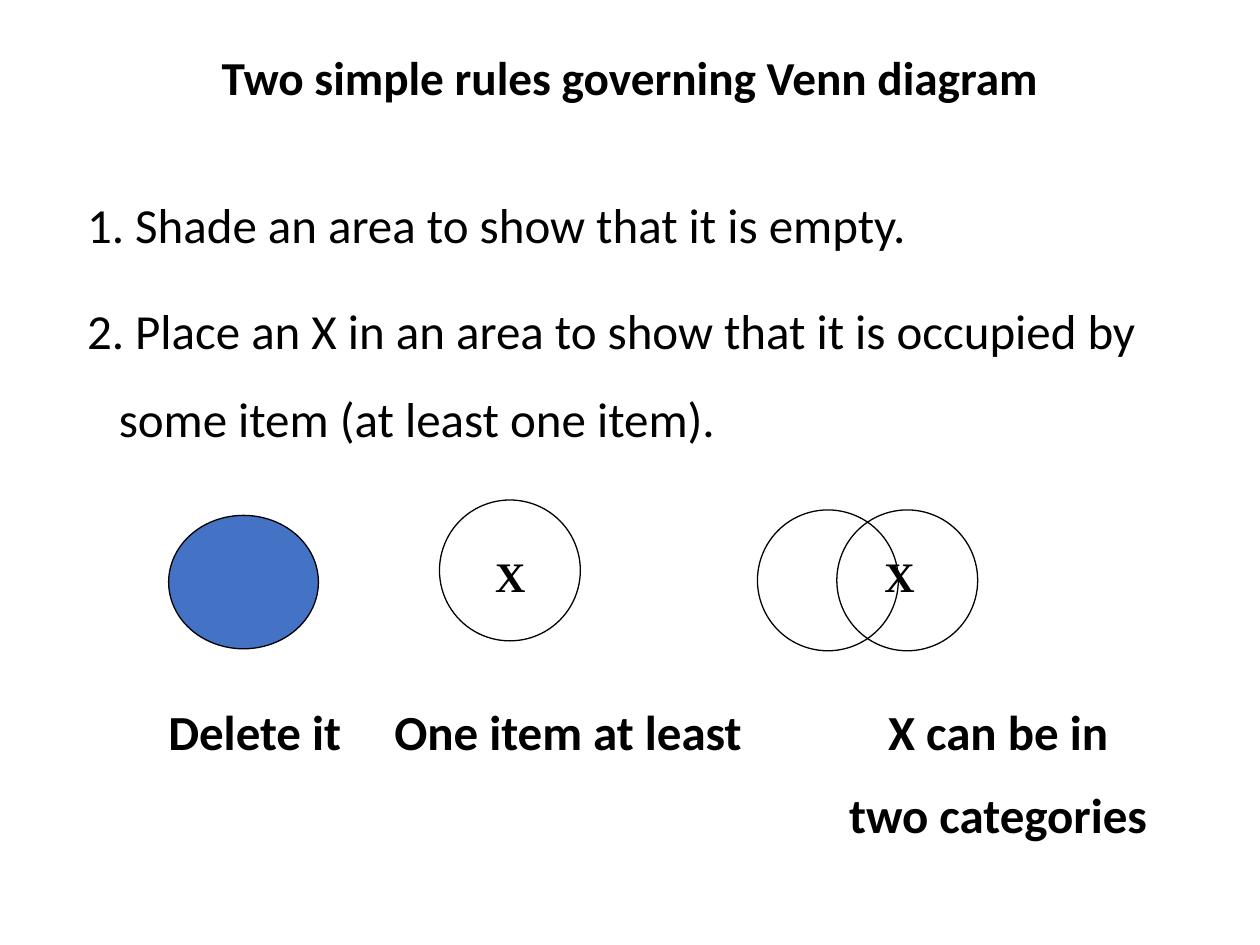
from lxml import etree
from pptx import Presentation
from pptx.dml.color import RGBColor
from pptx.enum.shapes import MSO_SHAPE
from pptx.enum.text import MSO_ANCHOR, MSO_AUTO_SIZE, PP_ALIGN
from pptx.oxml.ns import qn
from pptx.util import Cm, Pt

OVAL = MSO_SHAPE.OVAL
MIDDLE, TOP = MSO_ANCHOR.MIDDLE, MSO_ANCHOR.TOP
NO_FIT = MSO_AUTO_SIZE.NONE
CENTER = PP_ALIGN.CENTER
BLACK, BLUE = "000000", "4472C4"
SANS, SERIF = "Calibri", "Times New Roman"
RING = 2.84
MARK_DOWN, LABEL_DOWN = 0.89, 3.94


def color(code):
    return RGBColor.from_string(code)


def place(shape, left, top, width, height):
    shape.left, shape.top = Cm(left), Cm(top)
    shape.width, shape.height = Cm(width), Cm(height)


def add_run(para, text, size, face=SANS, bold=False):
    run = para.add_run()
    run.text = text
    font = run.font
    font.name, font.size, font.bold = face, Pt(size), bold
    font.color.rgb = color(BLACK)


def fill_lines(frame, lines, gap):
    frame.word_wrap = True
    frame.auto_size = NO_FIT
    for i, line in enumerate(lines):
        para = frame.add_paragraph() if i else frame.paragraphs[0]
        para.space_before = Pt(gap if i else 0)
        yield para, line


def add_text(slide, left, top, width, lines, size, face=SANS):
    height = 1.27 if len(lines) == 1 else 3.25
    box = slide.shapes.add_textbox(Cm(left), Cm(top), Cm(width), Cm(height))
    for para, line in fill_lines(box.text_frame, lines, size / 2):
        para.alignment = CENTER
        add_run(para, line, size, face, True)


def add_oval(slide, left, top, width=RING, height=RING, fill=None):
    oval = slide.shapes.add_shape(OVAL, Cm(left), Cm(top), Cm(width), Cm(height))
    oval.shadow.inherit = False
    oval.line.color.rgb = color(BLACK)
    oval.line.width = Pt(0.75)
    if fill:
        oval.fill.solid()
        oval.fill.fore_color.rgb = color(fill)
    else:
        oval.fill.background()


def add_mark(slide, left, top):
    add_text(slide, left, top + MARK_DOWN, 6.05, ["X"], 24, SERIF)


def set_title(slide, left, top, width, height):
    title = slide.shapes.title
    place(title, left, top, width, height)
    frame = title.text_frame
    frame.vertical_anchor = MIDDLE
    for para, line in fill_lines(frame, ["Two simple rules governing Venn diagram"], 0):
        para.alignment = CENTER
        para.line_spacing = 0.9
        add_run(para, line, 27, bold=True)


def set_rules(slide, left, top, width, height):
    body = slide.placeholders[1]
    place(body, left, top, width, height)
    body.text_frame.vertical_anchor = TOP
    rules = [
        "1. Shade an area to show that it is empty.",
        "2. Place an X in an area to show that it is occupied by "
        "some item (at least one item).",
    ]
    for para, line in fill_lines(body.text_frame, rules, 10):
        para.line_spacing = 1.5
        props = para._p.get_or_add_pPr()
        props.set("marL", str(Cm(0.64)))
        props.set("indent", str(-Cm(0.64)))
        etree.SubElement(props, qn("a:buNone"))
        add_run(para, line, 28)


def draw_empty(slide, left, top):
    add_oval(slide, left + 1.29, top + 0.31, 3.02, 2.69, BLUE)
    add_text(slide, left, top + LABEL_DOWN, 6.05, ["Delete it"], 28)


def draw_single(slide, left, top):
    add_mark(slide, left, top)
    add_text(slide, left, top + LABEL_DOWN, 8.38, ["One item at least"], 28)
    add_oval(slide, left + 1.6, top)


def draw_shared(slide, left, top):
    for shift in (0.16, 1.76):
        add_oval(slide, left + shift, top + 0.2)
    add_mark(slide, left, top)
    lines = ["X can be in", "two categories"]
    add_text(slide, left + 0.82, top + LABEL_DOWN, 8.38, lines, 28)


def main():
    deck = Presentation()
    deck.slide_width, deck.slide_height = Cm(25.4), Cm(19.05)
    slide = deck.slides.add_slide(deck.slide_layouts[1])
    set_title(slide, 2.41, 0.43, 20.57, 2.39)
    set_rules(slide, 1.5, 3.2, 23.32, 6.02)
    draw_empty(slide, 2.11, 10.08)
    draw_single(slide, 7.26, 10.08)
    draw_shared(slide, 15.11, 10.08)
    deck.save("out.pptx")


if __name__ == "__main__":
    main()
